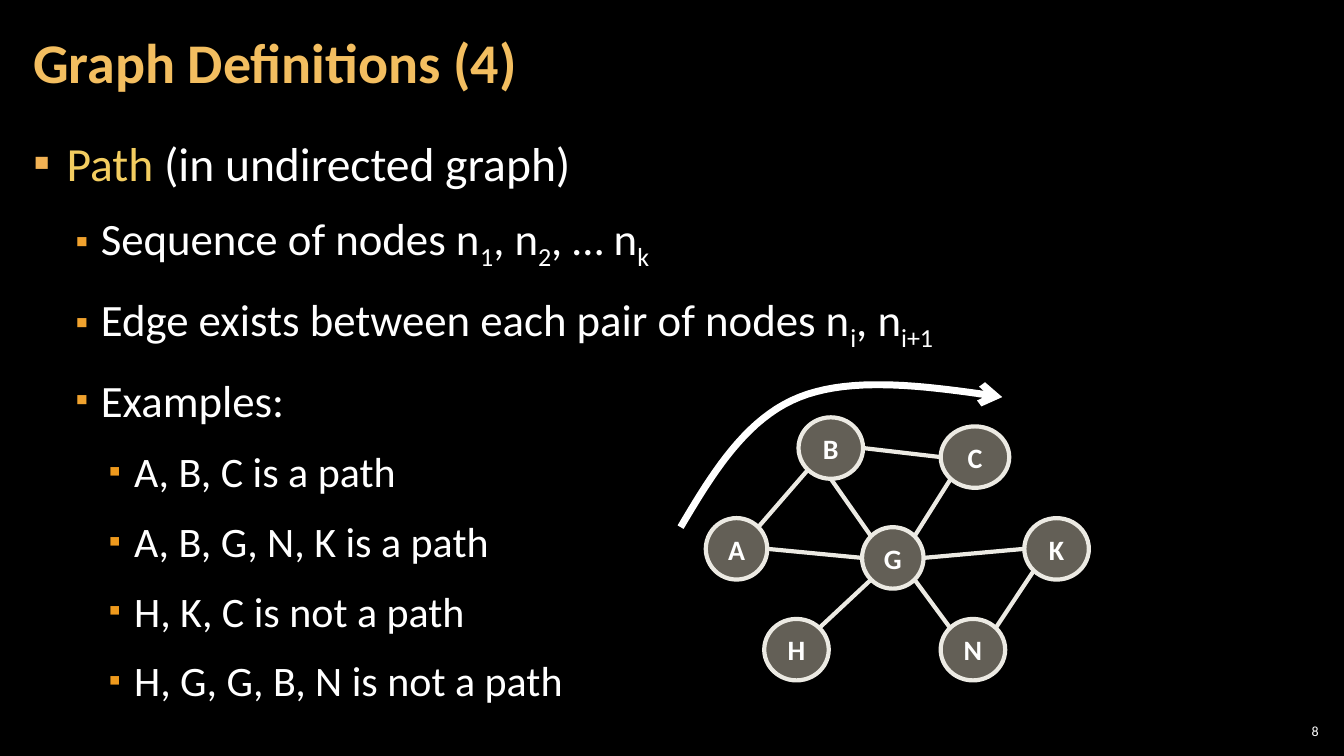
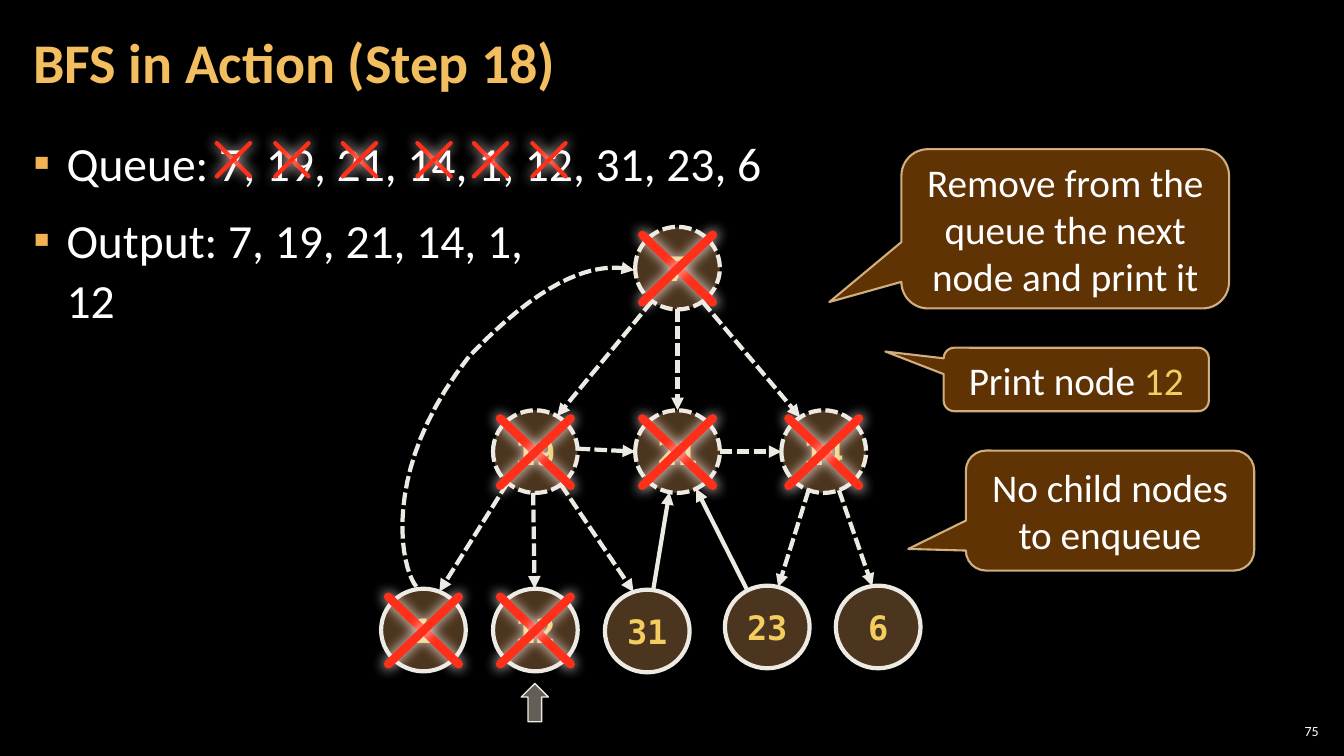
from math import cos, radians, sin

from lxml.etree import SubElement
from pptx import Presentation
from pptx.dml.color import RGBColor
from pptx.enum.dml import MSO_LINE
from pptx.enum.shapes import MSO_CONNECTOR, MSO_SHAPE
from pptx.enum.text import MSO_ANCHOR, PP_ALIGN
from pptx.oxml.ns import qn
from pptx.util import Inches, Pt

BLACK = RGBColor(0x00, 0x00, 0x00)
WHITE = RGBColor(0xFF, 0xFF, 0xFF)
GOLD = RGBColor(0xF3, 0xBE, 0x60)
YELLOW = RGBColor(0xF3, 0xCD, 0x60)
STONE = RGBColor(0xC7, 0xBF, 0xAC)
IVORY = RGBColor(0xEC, 0xEA, 0xE3)
BROWN = RGBColor(0x6C, 0x4C, 0x2C)
RUST = RGBColor(0x66, 0x36, 0x06)
SAND = RGBColor(0xF8, 0xD4, 0x9E)
RED = RGBColor(0xFF, 0x2F, 0x19)
GLOW = RGBColor(0xFF, 0xED, 0xEB)
FONT = "Calibri"
MONO = "DejaVu Sans Mono"
LEVELS = [
    (34, 0.33, -0.33, RGBColor(0xF2, 0xB2, 0x54), 100),
    (32, 0.67, -0.25, RGBColor(0xF0, 0xA2, 0x2E), 80),
    (30, 1.0, -0.25, RGBColor(0xEF, 0x9A, 0x1D), 80),
]


def add_run(p, text, size, color=WHITE, bold=False, font=FONT, sub=False):
    """Add one formatted run to a paragraph."""
    r = p.add_run()
    r.text = text
    r.font.size, r.font.bold, r.font.name = Pt(size), bold, font
    r.font.color.rgb = color
    if sub:
        r.font._element.set("baseline", "-25000")


def frame(sp, anchor, margin_x, margin_y, wrap=True):
    """Set the insets, anchor and wrapping of a shape's text."""
    tf = sp.text_frame
    tf.word_wrap, tf.vertical_anchor = wrap, anchor
    tf.margin_left = tf.margin_right = Inches(margin_x)
    tf.margin_top = tf.margin_bottom = Inches(margin_y)
    return tf


def set_alpha(fill_parent, percent):
    """Make the solid fill directly under an element translucent."""
    clr = fill_parent.find(qn("a:solidFill")).find(qn("a:srgbClr"))
    SubElement(clr, qn("a:alpha")).set("val", str(percent * 1000))


def set_line(sp, color, width, dashed=False, head=None):
    """Format an outline and return its XML element."""
    sp.line.color.rgb, sp.line.width = color, Pt(width)
    if dashed:
        sp.line.dash_style = MSO_LINE.SQUARE_DOT
    ln = sp._element.spPr.find(qn("a:ln"))
    if head:
        SubElement(ln, qn("a:tailEnd")).set("type", head)
    return ln


def add_shape(s, kind, box, fill, alpha, line, width, dashed=False):
    """Add a flat, translucent, outlined preset shape."""
    sp = s.shapes.add_shape(kind, *map(Inches, box))
    sp.shadow.inherit = False
    sp.fill.solid()
    sp.fill.fore_color.rgb = fill
    set_alpha(sp._element.spPr, alpha)
    set_line(sp, line, width, dashed)
    return sp


def add_line(s, start, end, color, width, dashed=False, head=None, glow=False):
    """Add a straight connector, with an optional glow and round ends."""
    cn = s.shapes.add_connector(MSO_CONNECTOR.STRAIGHT, *map(Inches, (*start, *end)))
    ln = set_line(cn, color, width, dashed, head)
    effects = SubElement(cn._element.spPr, qn("a:effectLst"))
    if glow:
        ln.set("cap", "rnd")
        shadow = SubElement(effects, qn("a:outerShdw"))
        shadow.set("blurRad", str(Pt(10)))
        shadow.set("dist", "0")
        shadow.set("dir", "5400000")
        SubElement(shadow, qn("a:srgbClr")).set("val", str(GLOW))


def add_cross(s, left, top, width, height, weight):
    """Strike out a box with two glowing diagonals."""
    right, bottom = left + width, top + height
    for start, end in [((left, top), (right, bottom)), ((right, top), (left, bottom))]:
        add_line(s, start, end, RED, weight, glow=True)


def add_curve(s, left, top, points, color, width, head, dashed=False):
    """Draw chained cubic curves, given relative to a corner, as an open outline."""
    trace = [points[0]]
    for i in range(0, len(points) - 1, 3):
        for t in (k / 20 for k in range(1, 21)):
            weights = ((1 - t) ** 3, 3 * t * (1 - t) ** 2, 3 * t * t * (1 - t), t ** 3)
            trace.append([sum(w * pt[axis] for w, pt in zip(weights, points[i:i + 4]))
                          for axis in (0, 1)])
    trace = [(Inches(left + x), Inches(top + y)) for x, y in trace]
    builder = s.shapes.build_freeform(*trace[0])
    builder.add_line_segments(trace[1:], close=False)
    sp = builder.convert_to_shape()
    sp.shadow.inherit = False
    sp.fill.background()
    set_line(sp, color, width, dashed, head)


def add_node(s, name, box, fill, alpha, size, color, font, dashed=False):
    """Add a labelled graph node."""
    sp = add_shape(s, MSO_SHAPE.OVAL, box, fill, alpha, IVORY, 3, dashed)
    tf = frame(sp, MSO_ANCHOR.MIDDLE, 0.04, 0.05, wrap=False)
    p = tf.paragraphs[0]
    p.alignment = PP_ALIGN.CENTER
    add_run(p, name, size, color, True, font)


def rim(box, angle):
    """Return the point on an ellipse at a clockwise angle from the east."""
    x, y, w, h = box
    return (x + w / 2 * (1 + cos(radians(angle))),
            y + h / 2 * (1 + sin(radians(angle))))


def add_body(s, left, top, width, height, paragraphs):
    """Add the bulleted text; each paragraph is a level and its runs."""
    box = s.shapes.add_textbox(*map(Inches, (left, top, width, height)))
    tf = frame(box, MSO_ANCHOR.TOP, 0.12, 0.04)
    for i, (level, runs) in enumerate(paragraphs):
        p = tf.add_paragraph() if i else tf.paragraphs[0]
        size, margin, indent, color, percent = LEVELS[level]
        p.level = level
        ppr = p._p.get_or_add_pPr()
        ppr.set("marL", str(Inches(margin)))
        ppr.set("indent", str(Inches(indent)))
        SubElement(SubElement(ppr, qn("a:buClr")), qn("a:srgbClr")).set("val", str(color))
        SubElement(ppr, qn("a:buSzPct")).set("val", str(percent * 1000))
        SubElement(ppr, qn("a:buFont")).set("typeface", FONT)
        SubElement(ppr, qn("a:buChar")).set("char", "▪")
        p.line_spacing, p.space_after = 1.05, Pt(6)
        p.space_before = Pt(6 if i else 0)
        for text, style in runs:
            for k, part in enumerate(text.split("\n")):
                if k:
                    p.add_line_break()
                add_run(p, part, size, **style)


def add_slide(prs, title, number, paragraphs):
    """Add a slide with its title, page number and bulleted text."""
    s = prs.slides.add_slide(prs.slide_layouts[5])
    add_body(s, 0.21, 1.26, 12.91, 6.09, paragraphs)
    sp = s.shapes.title
    sp.left, sp.top, sp.width, sp.height = map(Inches, (0.21, 0.04, 10.47, 1.21))
    p = frame(sp, MSO_ANCHOR.MIDDLE, 0.12, 0.04).paragraphs[0]
    p.alignment, p.line_spacing = PP_ALIGN.LEFT, 0.9
    add_run(p, title, 40, GOLD, True)
    box = s.shapes.add_textbox(*map(Inches, (12.65, 7.14, 0.47, 0.22)))
    p = frame(box, MSO_ANCHOR.MIDDLE, 0.04, 0.04).paragraphs[0]
    p.alignment = PP_ALIGN.RIGHT
    add_run(p, number, 10)
    return s


def path_graph(s, left, top):
    """Draw the undirected graph and the arrow along its path."""
    add_curve(s, left, top, [(-0.25, 1.09), (0.07, 0.55), (0.4, 0.01), (0.93, -0.2),
                             (1.46, -0.41), (2.2, -0.31), (2.94, -0.2)],
              WHITE, 5, "arrow")
    nodes = {"A": (0, 1, 0.61), "B": (0.92, 0, 0.64), "C": (2.33, 0.09, 0.68),
             "G": (1.55, 1.09, 0.61), "K": (3.16, 1, 0.64), "H": (0.58, 2, 0.64),
             "N": (2.33, 2, 0.64)}
    boxes = {n: (left + x, top + y, w, 0.61) for n, (x, y, w) in nodes.items()}
    for name, box in boxes.items():
        add_node(s, name, box, STONE, 50, 20, WHITE, FONT)
    edges = [("G", -45, "C", 135), ("B", 0, "C", 180), ("G", -135, "B", 90),
             ("A", 0, "G", 180), ("B", 135, "A", -45), ("G", 135, "H", -45),
             ("G", 45, "N", -135), ("K", 180, "G", 0), ("K", 135, "N", -45)]
    for a, angle_a, b, angle_b in edges:
        add_line(s, rim(boxes[a], angle_a), rim(boxes[b], angle_b), IVORY, 3)


def bfs_graph(s, left, top):
    """Draw the directed graph with its visited nodes struck out."""
    width, height = 0.84, 0.82
    nodes = {"7": (2.52, 0), "19": (1.11, 1.82), "21": (2.52, 1.82),
             "14": (3.97, 1.82), "1": (0, 3.59), "12": (1.11, 3.59),
             "31": (2.22, 3.6), "23": (3.41, 3.56), "6": (4.51, 3.56)}
    boxes = {n: (left + x, top + y, width, height) for n, (x, y) in nodes.items()}
    for name, box in boxes.items():
        add_node(s, name, box, BROWN, 70, 24, YELLOW, MONO,
                 dashed=name in ("7", "19", "21", "14"))
    edges = [("7", 127, "19", -59), ("7", 90, "21", -90), ("7", 54, "14", -124),
             ("14", 111, "23", -75), ("14", 69, "6", -98), ("19", 131, "1", -68),
             ("19", 53, "31", -109), ("19", 93, "12", -91), ("19", -4, "21", 180),
             ("21", 0, "14", 180), ("31", -82, "21", 101), ("23", -118, "21", 64)]
    for a, angle_a, b, angle_b in edges:
        add_line(s, rim(boxes[a], angle_a), rim(boxes[b], angle_b), IVORY, 3,
                 a not in ("31", "23"), "triangle")
    add_curve(s, left, top, [(0.35, 3.57), (0.2, 3.4), (-0.02, 2.42), (0.87, 1.29),
                             (1.76, 0.35), (2.26, 0.37), (2.51, 0.43)],
              IVORY, 3, "triangle", dashed=True)
    for name in ("7", "19", "21", "14", "1", "12"):
        x, y, w, h = boxes[name]
        add_cross(s, x + 0.07, y + 0.08, w - 0.14, h - 0.15, 6)
    x, y, w, h = boxes["12"]
    add_shape(s, MSO_SHAPE.UP_ARROW, (x + w / 2 - 0.14, y + h + 0.12, 0.27, 0.38),
              STONE, 50, IVORY, 1)


def add_callout(s, box, pointer, runs):
    """Add a speech balloon with its pointer as shares of its size."""
    sp = add_shape(s, MSO_SHAPE.ROUNDED_RECTANGULAR_CALLOUT, box, RUST, 95, SAND, 1.5)
    set_alpha(sp._element.spPr.find(qn("a:ln")), 80)
    sp.adjustments[0], sp.adjustments[1] = pointer
    p = frame(sp, MSO_ANCHOR.MIDDLE, 0.1, 0.05).paragraphs[0]
    p.alignment = PP_ALIGN.CENTER
    for text, color in runs:
        add_run(p, text, 28, color)


def path_slide(prs):
    """Build the slide that defines a path."""
    sub = {"sub": True}
    examples = ["A, B, C is a path", "A, B, G, N, K is a path",
                "H, K, C is not a path", "H, G, G, B, N is not a path"]
    s = add_slide(prs, "Graph Definitions (4)", "8", [
        (0, [("Path", {"color": YELLOW}), (" (in undirected graph)", {})]),
        (1, [("Sequence of nodes n", {}), ("1", sub), (", n", {}), ("2", sub),
             (", … n", {}), ("k", sub)]),
        (1, [("Edge exists between each pair of nodes n", {}), ("i", sub),
             (", n", {}), ("i+1", sub)]),
        (1, [("Examples:", {})]),
        *[(2, [(text, {})]) for text in examples],
    ])
    path_graph(s, 7, 4.14)


def bfs_slide(prs):
    """Build the slide that shows one step of the search."""
    s = add_slide(prs, "BFS in Action (Step 18)", "75", [
        (0, [("Queue: 7, 19, 21, 14, 1, 12, 31, 23, 6", {})]),
        (0, [("Output: 7, 19, 21, 14, 1,\n12", {})]),
    ])
    for x in (2.15, 2.73, 3.4, 4.14, 4.7, 5.28):
        add_cross(s, x, 1.42, 0.33, 0.33, 3)
    bfs_graph(s, 3.78, 2.25)
    add_callout(s, (8.94, 1.48, 3.25, 1.58), (-0.72, 0.46),
                [("Remove from the queue the next node and print it", WHITE)])
    add_callout(s, (9.58, 4.47, 2.86, 1.19), (-0.7, 0.32),
                [("No child nodes to enqueue", WHITE)])
    add_callout(s, (9.36, 3.45, 2.63, 0.63), (-0.72, -0.44),
                [("Print node ", WHITE), ("12", YELLOW)])


def main():
    """Build and save the presentation."""
    prs = Presentation()
    prs.slide_width, prs.slide_height = Inches(13.33), Inches(7.5)
    fill = prs.slide_master.background.fill
    fill.solid()
    fill.fore_color.rgb = BLACK
    path_slide(prs)
    bfs_slide(prs)
    prs.save("out.pptx")


if __name__ == "__main__":
    main()
